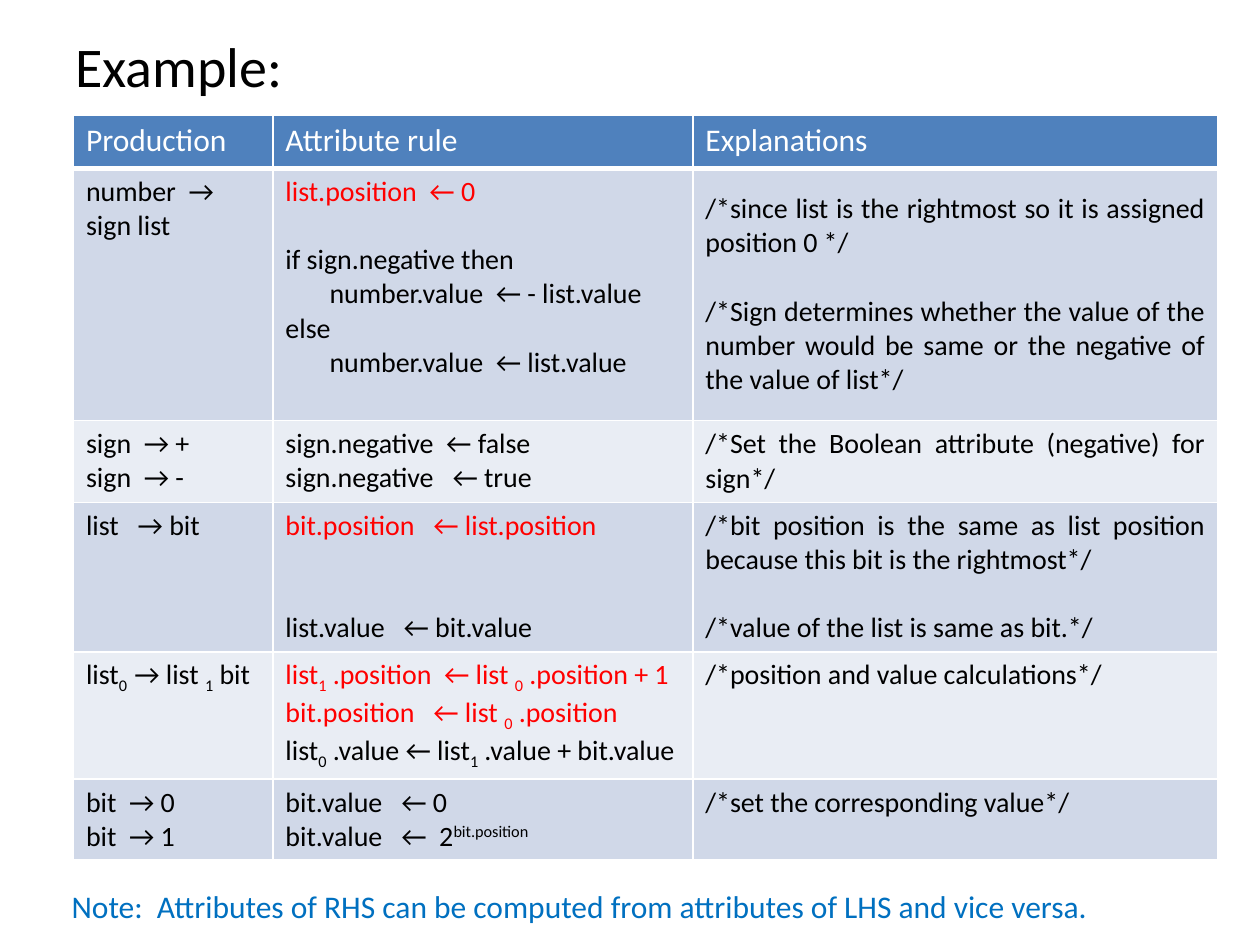
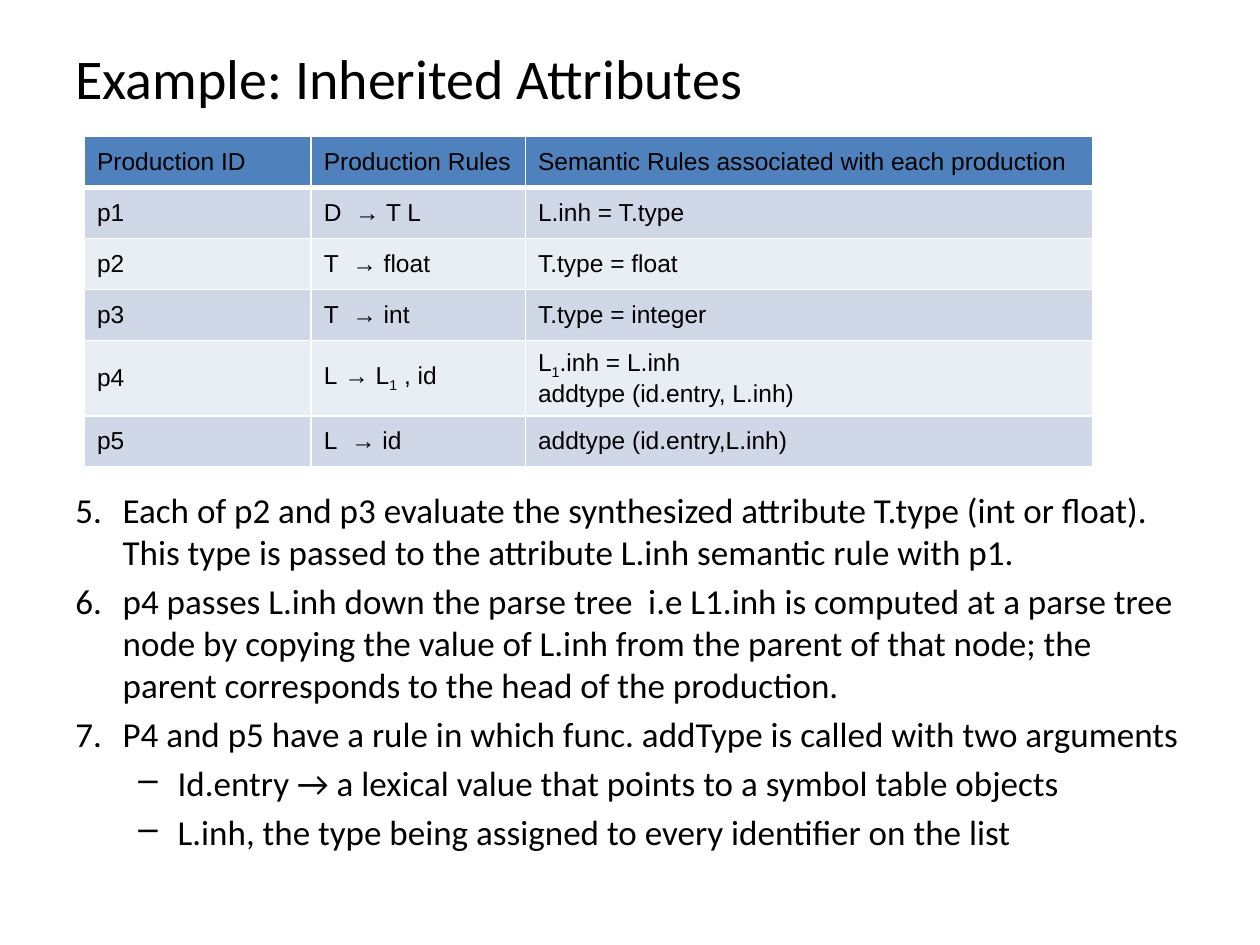
from dataclasses import dataclass
from typing import Optional

from lxml import etree
from pptx import Presentation
from pptx import util as u
from pptx.dml.color import RGBColor
from pptx.enum import text as t
from pptx.oxml import ns


# Shared look: colours, fonts, type sizes and the slide grid
@dataclass(frozen=True)
class Theme:
    ink: str = "000000"
    white: str = "FFFFFF"
    header: str = "4F81BD"
    bands: tuple = ("D0D8E8", "E9EDF4")
    inherited: str = "FF0000"
    note: str = "0070C0"
    font: str = "Calibri"
    plain_font: str = "Arial"
    title_size: int = 32
    body_size: int = 20
    note_size: int = 18
    rule_size: int = 16
    plain_size: int = 14
    thin: int = 1
    thick: int = 3


THEME = Theme()
WIDTH, HEIGHT = u.Inches(10), u.Inches(7.5)
UNIT = WIDTH // 100  # the grid has 100 columns and 75 rows
BASELINES = {"_": "-25000", "^": "30000"}


@dataclass(frozen=True)
class Style:
    size: int
    color: str = THEME.ink
    font: str = THEME.font
    align: Optional[int] = None
    anchor: int = t.MSO_ANCHOR.TOP


@dataclass(frozen=True)
class Line:
    """One paragraph; '|_x|' lowers x and '|^x|' raises it."""
    words: str
    color: Optional[str] = None
    skip: int = 0        # empty lines above
    indent: float = 0    # in grid columns


def red(words):
    return Line(words, THEME.inherited)


def grid(units):
    return u.Emu(round(units * UNIT))


# Text
def add_spans(para, words, style, color=None):
    for piece in words.split("|"):
        if not piece:
            continue
        shift = BASELINES.get(piece[0])
        span = para.add_run()
        span.text = piece[1:] if shift else piece
        span.font.name = style.font
        span.font.size = u.Pt(style.size)
        span.font.bold = False
        span.font.color.rgb = RGBColor.from_string(color or style.color)
        if shift:
            span.font._element.set("baseline", shift)


def fill_frame(frame, lines, style):
    for index, line in enumerate(lines):
        if isinstance(line, str):
            line = Line(line)
        para = frame.paragraphs[0] if index == 0 else frame.add_paragraph()
        para.alignment = style.align
        if line.skip:
            para.space_before = u.Pt(round(line.skip * style.size * 1.22, 1))
        if line.indent:
            para._p.get_or_add_pPr().set("marL", str(grid(line.indent)))
        add_spans(para, line.words, style, line.color)


def add_box(page, area, style):
    box = page.shapes.add_textbox(*map(grid, area))
    box.text_frame.word_wrap = True
    box.text_frame.vertical_anchor = style.anchor
    return box.text_frame


def add_title(page, words, top, height):
    style = Style(THEME.title_size, anchor=t.MSO_ANCHOR.MIDDLE)
    fill_frame(add_box(page, (5, top, 90, height), style), [words], style)


# Numbered and dashed list
def set_bullet(para, hang, left, tag, **attributes):
    props = para._p.get_or_add_pPr()
    props.set("marL", str(grid(left)))
    props.set("indent", str(-grid(hang)))
    etree.SubElement(props, ns.qn("a:" + tag), **attributes)


def add_list(page, area, numbered, dashed, start):
    style = Style(THEME.body_size)
    frame = add_box(page, area, style)
    for index, words in enumerate(numbered + dashed):
        para = frame.paragraphs[0] if index == 0 else frame.add_paragraph()
        para.space_before = u.Pt(style.size * 0.2)
        if index < len(numbered):
            set_bullet(para, 3.75, 3.75, "buAutoNum",
                       type="arabicPeriod", startAt=str(start))
        else:
            set_bullet(para, 3.12, 8.12, "buChar", char="–")
        add_spans(para, words, style)


# Tables
def set_borders(cell, row):
    props = cell._tc.get_or_add_tcPr()
    widths = {"lnL": THEME.thin, "lnR": THEME.thin,
              "lnT": THEME.thick if row == 1 else THEME.thin,
              "lnB": THEME.thick if row == 0 else THEME.thin}
    for edge, width in widths.items():
        line = etree.SubElement(props, ns.qn("a:" + edge), w=str(u.Pt(width)))
        fill = etree.SubElement(line, ns.qn("a:solidFill"))
        etree.SubElement(fill, ns.qn("a:srgbClr"), val=THEME.white)


def add_grid_table(page, corner, columns, heights, rows, style_of):
    """Each cell is a list of lines; style_of(row, column) gives its style."""
    frame = page.shapes.add_table(
        len(rows), len(columns), *map(grid, corner),
        grid(sum(columns)), grid(sum(heights)))
    table = frame.table
    table.first_row = table.horz_banding = False
    for column, width in zip(table.columns, columns):
        column.width = grid(width)
    for row, height in zip(table.rows, heights):
        row.height = grid(height)
    for r, row in enumerate(rows):
        color = THEME.bands[(r - 1) % 2] if r else THEME.header
        for c, lines in enumerate(row):
            cell, style = table.cell(r, c), style_of(r, c)
            cell.vertical_anchor = style.anchor
            set_borders(cell, r)
            cell.fill.solid()
            cell.fill.fore_color.rgb = RGBColor.from_string(color)
            fill_frame(cell.text_frame, lines, style)


# Slide 1: attribute rules of a signed binary number
NUMBER_RULES = [
    [["Production"], ["Attribute rule"], ["Explanations"]],
    [["number\u00a0\u00a0→ sign list"],
     [red("list.position\u00a0\u00a0← 0"),
      Line("if sign.negative then", skip=1),
      Line("number.value\u00a0 ←\u00a0- list.value", indent=3.5),
      "else",
      Line("number.value\u00a0\u00a0← list.value", indent=3.5)],
     ["/*since list is the rightmost so it is assigned position 0 */",
      Line("/*Sign determines whether the value of the number would be same "
           "or the negative of the value of list*/", skip=1)]],
    [["sign\u00a0\u00a0→\u00a0+", "sign\u00a0\u00a0→\u00a0-"],
     ["sign.negative\u00a0\u00a0← false",
      "sign.negative\u00a0\u00a0\u00a0← true"],
     ["/*Set the Boolean attribute (negative) for sign*/"]],
    [["list\u00a0 \u00a0→\u00a0bit"],
     [red("bit.position\u00a0\u00a0\u00a0← list.position"),
      Line("list.value\u00a0\u00a0\u00a0← bit.value", skip=2)],
     ["/*bit position is the same as list position because this bit is "
      "the rightmost*/",
      Line("/*value of the list is same as bit.*/", skip=1)]],
    [["list|_0\u00a0\u00a0|→\u00a0list\u00a0|_1|\u00a0bit"],
     [red("list|_1|\u00a0.position\u00a0\u00a0← list\u00a0|_0|"
          "\u00a0.position + 1"),
      red("bit.position\u00a0\u00a0\u00a0← list\u00a0|_0|\u00a0.position"),
      "list|_0|\u00a0.value\u00a0←\u00a0list|_1|\u00a0.value + bit.value"],
     ["/*position and value calculations*/"]],
    [["bit\u00a0\u00a0→\u00a00", "bit\u00a0\u00a0→\u00a01"],
     ["bit.value\u00a0\u00a0\u00a0← 0",
      "bit.value\u00a0\u00a0\u00a0←  2|^bit.position"],
     ["/*set the corresponding value*/"]],
]


def number_style(row, column):
    if row == 0:
        return Style(THEME.note_size, THEME.white)
    if column == 2 and row <= 3:
        return Style(THEME.rule_size, align=t.PP_ALIGN.JUSTIFY,
                     anchor=t.MSO_ANCHOR.MIDDLE)
    return Style(THEME.rule_size)


def build_number_page(page):
    add_grid_table(page, (5.83, 9.17), (15.83, 33.33, 41.67),
                   (4.2, 20, 6.5, 11.8, 10.1, 6.4),
                   NUMBER_RULES, number_style)
    add_title(page, "Example:", 1.67, 7)
    note = Style(THEME.note_size, THEME.note)
    fill_frame(add_box(page, (4.7, 69.9, 89.2, 4), note),
               ["Note:  Attributes of RHS can be computed from attributes "
                "of LHS and vice versa."], note)


# Slide 2: inherited attributes of a type declaration
TYPE_RULES = [
    [["Production ID"], ["Production Rules"],
     ["Semantic Rules associated with each production"]],
    [["p1"], ["D\u00a0\u00a0→ T L"], ["L.inh = T.type"]],
    [["p2"], ["T\u00a0\u00a0→ float"], ["T.type = float"]],
    [["p3"], ["T\u00a0\u00a0→ int"], ["T.type = integer"]],
    [["p4"], ["L\u00a0→\u00a0L|_1|\u00a0, id"],
     ["L|_1|.inh = L.inh", "addtype (id.entry, L.inh)"]],
    [["p5"], ["L\u00a0\u00a0→ id"], ["addtype (id.entry,L.inh)"]],
]
TYPE_STEPS = [
    "Each of p2 and p3 evaluate the synthesized attribute T.type (int or "
    "float). This type is passed to the attribute L.inh semantic rule with "
    "p1.",
    "p4 passes L.inh down the parse tree  i.e L1.inh is computed at a parse "
    "tree node by copying the value of L.inh from the parent of that node; "
    "the parent corresponds to the head of the production.",
    "P4 and p5 have a rule in which func. addType is called with two "
    "arguments",
]
TYPE_ARGUMENTS = [
    "Id.entry → a lexical value that points to a symbol table objects",
    "L.inh, the type being assigned to every identifier on the list",
]


def type_style(row, column):
    align = None if (row, column) == (4, 2) else t.PP_ALIGN.JUSTIFY
    return Style(THEME.plain_size, font=THEME.plain_font, align=align,
                 anchor=t.MSO_ANCHOR.MIDDLE)


def build_type_page(page):
    add_grid_table(page, (6.7, 10.83), (18, 17, 45),
                   (4.05, 4.05, 4.05, 4.05, 5.65, 4.05),
                   TYPE_RULES, type_style)
    add_list(page, (5, 38.3, 90, 32.5), TYPE_STEPS, TYPE_ARGUMENTS, start=5)
    add_title(page, "Example: Inherited Attributes", 3, 6.2)


def main():
    deck = Presentation()
    deck.slide_width, deck.slide_height = WIDTH, HEIGHT
    for build in (build_number_page, build_type_page):
        build(deck.slides.add_slide(deck.slide_layouts[6]))
    deck.save("out.pptx")


main()
